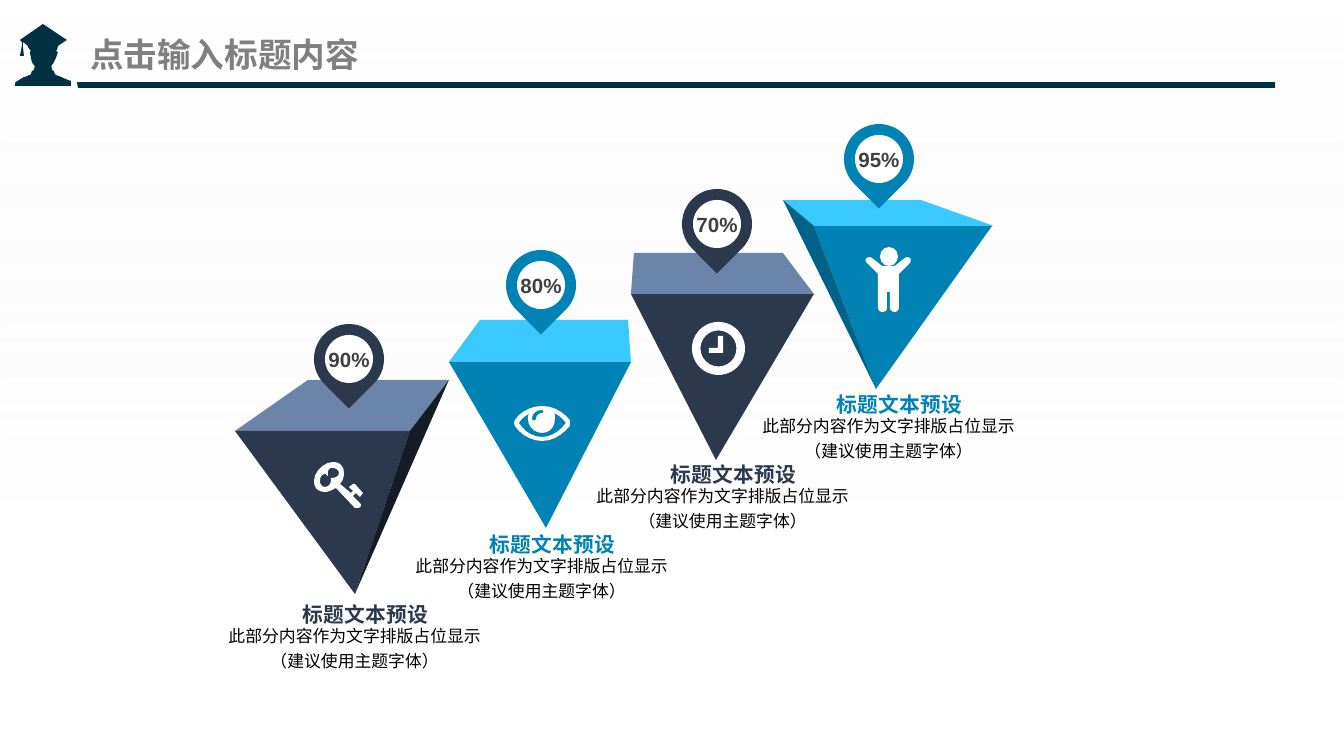
import lxml.etree
import pptx
import pptx.dml.color
import pptx.enum.shapes
import pptx.enum.text
import pptx.oxml.ns
import pptx.util

PX = 914400 / 134.4
RGB = pptx.dml.color.RGBColor
SHAPE = pptx.enum.shapes.MSO_SHAPE
ALIGN = pptx.enum.text.PP_ALIGN
ANCHOR = pptx.enum.text.MSO_ANCHOR
qn = pptx.oxml.ns.qn

PETROL = RGB(0x00, 0x31, 0x42)
NAVY = RGB(0x2C, 0x39, 0x4C)
NAVY_TOP = RGB(0x6B, 0x84, 0xA9)
NAVY_SIDE = RGB(0x16, 0x1C, 0x26)
BLUE = RGB(0x00, 0x83, 0xB4)
BLUE_TOP = RGB(0x39, 0xC9, 0xFF)
BLUE_SIDE = RGB(0x00, 0x62, 0x87)
WHITE = RGB(0xFF, 0xFF, 0xFF)
PALE = RGB(0xF2, 0xF2, 0xF2)
GREY = RGB(0x80, 0x80, 0x80)
DARK = RGB(0x40, 0x40, 0x40)
BLACK = RGB(0x00, 0x00, 0x00)

prs = pptx.Presentation()
prs.slide_width = round(1344 * PX)
prs.slide_height = round(756 * PX)
s = prs.slides.add_slide(prs.slide_layouts[6])


def add_text(text, x, y, w, h, size=9, color=BLACK, bold=False, font="Arial",
             align=ALIGN.LEFT, anchor=ANCHOR.TOP, spacing=None, wrap=True):
    sp = s.shapes.add_textbox(*(round(v * PX) for v in (x, y, w, h)))
    tf = sp.text_frame
    tf.word_wrap = wrap
    tf.vertical_anchor = anchor
    tf.margin_left = tf.margin_top = tf.margin_right = tf.margin_bottom = 0
    p = tf.paragraphs[0]
    p.alignment = align
    p.line_spacing = spacing
    for i, line in enumerate(text.split("\n")):
        if i:
            p.add_line_break()
        r = p.add_run()
        r.text = line
        r.font.size = pptx.util.Pt(size)
        r.font.bold = bold
        r.font.name = font
        r.font.color.rgb = color
        lxml.etree.SubElement(r.font._element, qn("a:ea"), typeface=font)


def add_shape(color, kind=None, box=None, contours=()):
    """Add a preset in box, or an outline whose 6-tuples are cubic curves."""
    if kind:
        sp = s.shapes.add_shape(kind, *(round(v * PX) for v in box))
    else:
        fb = None
        for start, *segments in contours:
            x, y = start
            points = []
            for seg in segments:
                if len(seg) == 6:
                    x1, y1, x2, y2, x3, y3 = seg
                    for t in (0.2, 0.4, 0.6, 0.8, 1):
                        a, b, c, d = (1 - t) ** 3, 3 * t * (1 - t) ** 2, 3 * t * t * (1 - t), t ** 3
                        points.append((a * x + b * x1 + c * x2 + d * x3,
                                       a * y + b * y1 + c * y2 + d * y3))
                else:
                    points.append(seg)
                x, y = seg[-2:]
            if fb is None:
                fb = s.shapes.build_freeform(start[0] * PX, start[1] * PX)
            else:
                fb.move_to(start[0] * PX, start[1] * PX)
            fb.add_line_segments([(px * PX, py * PX) for px, py in points], close=True)
        sp = fb.convert_to_shape()
    sp.shadow.inherit = False
    sp.fill.solid()
    sp.fill.fore_color.rgb = color
    sp.line.fill.background()
    return sp


# Background and header
sp = add_shape(WHITE, SHAPE.RECTANGLE, (0, 0, 1344, 756))
sp.fill.gradient()
sp.fill.gradient_angle = 270
for stop, position, color, alpha in zip(sp.fill.gradient_stops, (0, 0.71), (WHITE, PALE), (55000, 0)):
    stop.position = position
    stop.color.rgb = color
    lxml.etree.SubElement(stop._gs[0], qn("a:alpha"), val=str(alpha))

add_shape(PETROL, contours=[[(77, 82), (1275, 82), (1275, 88), (78, 88)]])
add_text("点击输入标题内容", 90, 26, 313, 56, size=18, color=GREY, bold=True,
         font="Noto Sans CJK SC", anchor=ANCHOR.MIDDLE)
graduate = [[
    (71, 81), (65, 79, 62, 77, 56, 75), (55, 74), (54, 71), (52, 70), (52, 67, 51, 66, 52, 65),
    (54, 63, 54, 62, 55, 60), (56, 59, 58, 52, 58, 52), (56, 51), (58, 50, 58, 46, 58, 43),
    (58, 46), (67, 40), (43, 24), (20, 40), (22, 42), (22, 46), (20, 56), (24, 56), (23, 46),
    (23, 42), (28, 46), (28, 47), (31, 51), (30, 52), (30, 54, 31, 56, 31, 58),
    (32, 62, 32, 63, 34, 65), (35, 66), (34, 70), (32, 71), (31, 74), (30, 75),
    (28, 75, 27, 77, 24, 77), (23, 78, 17, 81, 16, 82), (15, 82, 15, 86, 15, 86), (71, 86)]]
add_shape(PETROL, contours=graduate)

# Pyramids: facets, then pin corner, pin colour, percentage and caption corner
pyramids = [
    ([(NAVY_TOP, [(235, 431), (308, 380), (449, 380), (410, 431)]),
      (NAVY, [(235, 431), (410, 431), (355, 594)]),
      (NAVY_SIDE, [(355, 594), (410, 431), (449, 380)])],
     (314, 324), NAVY, "90%", (303, 602)),
    ([(BLUE, [(449, 362), (631, 362), (546, 528)]),
      (BLUE_TOP, [(631, 362), (449, 362), (480, 320), (628, 320)])],
     (506, 250), BLUE, "80%", (490, 532)),
    ([(NAVY, [(814, 294), (631, 294), (716, 460)]),
      (NAVY_TOP, [(631, 294), (814, 294), (783, 253), (634, 253)])],
     (682, 189), NAVY, "70%", (671, 462)),
    ([(BLUE, [(814, 226), (992, 226), (876, 389)]),
      (BLUE_TOP, [(783, 200), (921, 200), (994, 226), (814, 226)]),
      (BLUE_SIDE, [(783, 200), (814, 226), (876, 389)])],
     (844, 124), BLUE, "95%", (837, 392)),
]
for facets, (x, y), color, percent, (cx, cy) in pyramids:
    for shade, corners in facets:
        add_shape(shade, contours=[corners])
    add_shape(color, SHAPE.TEAR, (x, y, 70, 70)).rotation = 135
    add_shape(WHITE, SHAPE.OVAL, (x + 11, y + 11, 48, 48))
    add_text(percent, x + 11, y + 11, 48, 48, size=11, color=DARK, bold=True,
             align=ALIGN.CENTER, anchor=ANCHOR.MIDDLE, wrap=False)
    add_text("标题文本预设", cx, cy, 126, 20, size=11.1, color=color, bold=True, wrap=False)
    add_text("此部分内容作为文字排版占位显示\n（建议使用主题字体）", cx - 76, cy + 20, 255, 50,
             align=ALIGN.CENTER, spacing=1.2)

# Icons
key = [
    [(360, 497), (356, 493), (353, 496), (360, 503), (362, 505, 361, 508, 358, 508), (355, 508),
     (336, 488), (332, 490, 329, 492, 325, 492), (318, 492, 314, 488, 314, 481),
     (314, 472, 324, 462, 333, 462), (340, 462, 344, 466, 344, 473),
     (344, 477, 343, 481, 340, 484), (351, 493), (353, 491), (349, 487), (353, 484),
     (355, 484), (363, 493)],
    [(332, 468), (329, 468, 328, 470, 328, 473), (328, 476), (327, 476, 327, 474, 325, 474),
     (322, 474, 320, 477, 320, 481), (320, 484, 322, 487, 325, 487),
     (328, 487, 331, 484, 331, 481), (331, 478), (332, 478),
     (336, 478, 339, 476, 339, 473), (339, 470, 336, 468, 332, 468)]]
eye = [
    [(570, 426), (563, 434, 554, 441, 542, 441), (531, 441, 520, 434, 515, 426), (514, 423),
     (515, 420), (520, 412, 531, 406, 542, 406), (554, 406, 563, 412, 570, 420), (570, 423)],
    [(554, 413), (555, 414, 555, 416, 555, 419), (555, 427, 550, 433, 542, 433),
     (535, 433, 528, 427, 528, 419), (528, 417, 528, 414, 531, 413),
     (526, 415, 521, 419, 519, 423), (524, 431, 532, 437, 542, 437),
     (552, 437, 560, 431, 566, 423), (563, 419, 559, 415, 554, 413)],
    [(542, 410), (536, 410, 532, 414, 532, 419), (532, 421, 536, 421, 536, 419),
     (536, 416, 539, 413, 542, 413), (544, 413, 544, 410, 542, 410)]]
clock_hands = [[(718, 336), (723, 336), (723, 353), (709, 353), (709, 348), (718, 348)]]
body = [[
    (899, 274), (899, 308), (899, 310, 897, 312, 895, 312), (892, 312, 890, 310, 890, 308),
    (890, 292), (887, 292), (887, 308), (887, 310, 886, 312, 882, 312),
    (880, 312, 878, 310, 878, 308), (878, 274), (867, 263), (865, 262, 865, 259, 867, 258),
    (868, 257, 871, 257, 872, 258), (882, 266), (895, 266), (905, 258),
    (907, 257, 908, 257, 910, 258), (911, 259, 911, 262, 910, 263)]]
for icon in (key, eye, clock_hands, body):
    add_shape(WHITE, contours=icon)
add_shape(WHITE, SHAPE.DONUT, (692, 322, 53, 53)).adjustments[0] = 0.16
add_shape(WHITE, SHAPE.OVAL, (880, 247, 18, 19))

prs.save("out.pptx")
